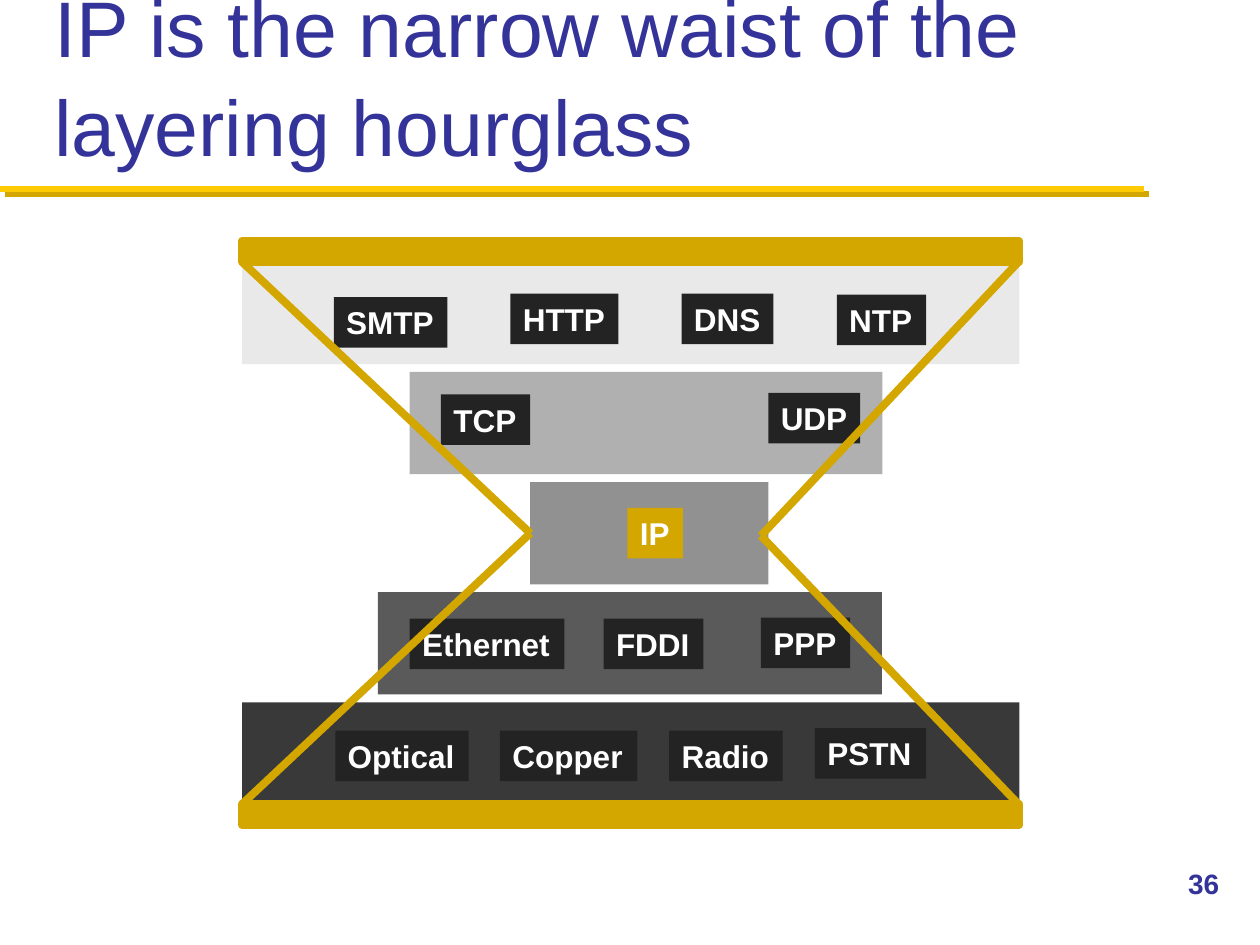
from dataclasses import dataclass

from lxml.etree import SubElement
from pptx import Presentation
from pptx.dml.color import RGBColor
from pptx.enum.shapes import MSO_CONNECTOR as Connector, MSO_SHAPE as Shape
from pptx.enum.text import MSO_ANCHOR as Anchor, MSO_AUTO_SIZE as AutoSize, PP_ALIGN as Align
from pptx.oxml.ns import qn
from pptx.util import Cm, Pt


@dataclass(frozen=True)
class Theme:
    """Colours, typeface and type sizes of the slide."""
    font: str = "Arial"
    heading: str = "333399"
    rule: str = "FFCB05"
    gold: str = "D3A600"
    label: str = "232323"
    white: str = "FFFFFF"
    title_size: float = 45
    label_size: float = 18
    number_size: float = 16
    frame_width: float = 4.5
    rule_width: float = 3.5


THEME = Theme()
LEFT, RIGHT, TOP, BOTTOM = 4.88, 20.53, 5.28, 16.21
BAR_HEIGHT, LAYER_HEIGHT, LAYER_PITCH, LABEL_HEIGHT = 0.42, 2.06, 2.22, 1.02
WAIST_RIGHT, WAIST_Y = 15.34, 10.8

LAYERS = [
    (LEFT, 15.67, "E9E9E9"),
    (8.26, 9.53, "B0B0B0"),
    (10.69, 4.8, "919191"),
    (7.62, 10.16, "5A5A5A"),
    (LEFT, 15.67, "393939"),
]

PROTOCOLS = [
    ("SMTP", 6.73, 5.99, 2.29), ("HTTP", 10.29, 5.92, 2.18),
    ("DNS", 13.74, 5.92, 1.85), ("NTP", 16.87, 5.94, 1.8),
    ("TCP", 8.89, 7.95, 1.8), ("UDP", 15.49, 7.92, 1.85),
    ("IP", 12.65, 10.24, 1.12),
    ("Ethernet", 8.26, 12.47, 3.12), ("FDDI", 12.17, 12.47, 2.01),
    ("PPP", 15.34, 12.45, 1.8),
    ("Optical", 6.76, 14.73, 2.69), ("Copper", 10.08, 14.73, 2.77),
    ("Radio", 13.49, 14.73, 2.29), ("PSTN", 16.43, 14.68, 2.24),
]


def write_text(holder, text, *, size, color, bold=False, anchor=Anchor.TOP,
               wrap=True, fit=AutoSize.NONE, spacing=1.0):
    """Put one left-aligned formatted paragraph into a shape."""
    frame = holder.text_frame
    frame.text = text
    frame.word_wrap = wrap
    frame.auto_size = fit
    frame.vertical_anchor = anchor
    paragraph = frame.paragraphs[0]
    paragraph.alignment = Align.LEFT
    paragraph.line_spacing = spacing
    font = paragraph.runs[0].font
    font.name, font.size, font.bold = THEME.font, Pt(size), bold
    font.color.rgb = RGBColor.from_string(color)


def add_block(slide, left, top, width, height, fill, outline=None):
    """Add a flat filled rectangle, outlined on request."""
    block = slide.shapes.add_shape(Shape.RECTANGLE, Cm(left), Cm(top), Cm(width), Cm(height))
    block.shadow.inherit = False
    block.fill.solid()
    block.fill.fore_color.rgb = RGBColor.from_string(fill)
    if outline:
        block.line.color.rgb = RGBColor.from_string(fill)
        block.line.width = Pt(outline)
    else:
        block.line.fill.background()
    return block


def add_line(slide, start, end, color, width):
    """Add a straight line and return it with its empty effect list."""
    line = slide.shapes.add_connector(Connector.STRAIGHT, *map(Cm, start + end))
    line.line.color.rgb = RGBColor.from_string(color)
    line.line.width = Pt(width)
    effects = SubElement(line._element.spPr, qn("a:effectLst"))
    return line, effects


def add_heading(slide):
    """Fill the title and draw the shadowed rule below it."""
    title = slide.shapes.title
    title.left, title.top, title.width, title.height = Cm(0.84), Cm(0.43), Cm(23.7), Cm(3.18)
    write_text(title, "IP is the narrow waist of the layering hourglass",
               size=THEME.title_size, color=THEME.heading, anchor=Anchor.BOTTOM, spacing=1.05)
    _, effects = add_line(slide, (0, 3.81), (23.06, 3.81), THEME.rule, THEME.rule_width)
    shadow = SubElement(effects, qn("a:outerShdw"), dist=str(Pt(4.2)), dir="2700000",
                        algn="ctr", rotWithShape="0")
    SubElement(shadow, qn("a:srgbClr"), val=THEME.gold)


def add_protocol(slide, name, left, top, width):
    """Add a protocol label, with IP picked out in gold."""
    fill = THEME.gold if name == "IP" else THEME.label
    label = add_block(slide, left, top, width, LABEL_HEIGHT, fill)
    write_text(label, name, size=THEME.label_size, color=THEME.white, bold=True,
               wrap=False, fit=AutoSize.SHAPE_TO_FIT_TEXT)


def add_hourglass(slide, waist):
    """Draw the hourglass sides and its two end bars."""
    for y in (TOP, BOTTOM):
        side, _ = add_line(slide, (LEFT, y), (10.69, WAIST_Y), THEME.gold, THEME.frame_width)
        side.end_connect(waist, 1)
        add_line(slide, (RIGHT, y), (WAIST_RIGHT, WAIST_Y), THEME.gold, THEME.frame_width)
    for top in (TOP - BAR_HEIGHT, BOTTOM):
        add_block(slide, LEFT, top, 15.67, BAR_HEIGHT, THEME.gold, THEME.frame_width)


def add_slide_number(slide, number):
    """Add the slide number at the lower right."""
    box = slide.shapes.add_textbox(Cm(23.7), Cm(17.35), Cm(1.7), Cm(1.27))
    write_text(box, number, size=THEME.number_size, color=THEME.heading, bold=True)


def main():
    """Build and save the slide."""
    deck = Presentation()
    deck.slide_width, deck.slide_height = Cm(25.4), Cm(19.05)
    slide = deck.slides.add_slide(deck.slide_layouts[5])
    add_heading(slide)
    add_slide_number(slide, "36")
    layers = [add_block(slide, left, TOP + row * LAYER_PITCH, width, LAYER_HEIGHT, fill)
              for row, (left, width, fill) in enumerate(LAYERS)]
    for protocol in PROTOCOLS:
        add_protocol(slide, *protocol)
    add_hourglass(slide, waist=layers[2])
    deck.save("out.pptx")


if __name__ == "__main__":
    main()
